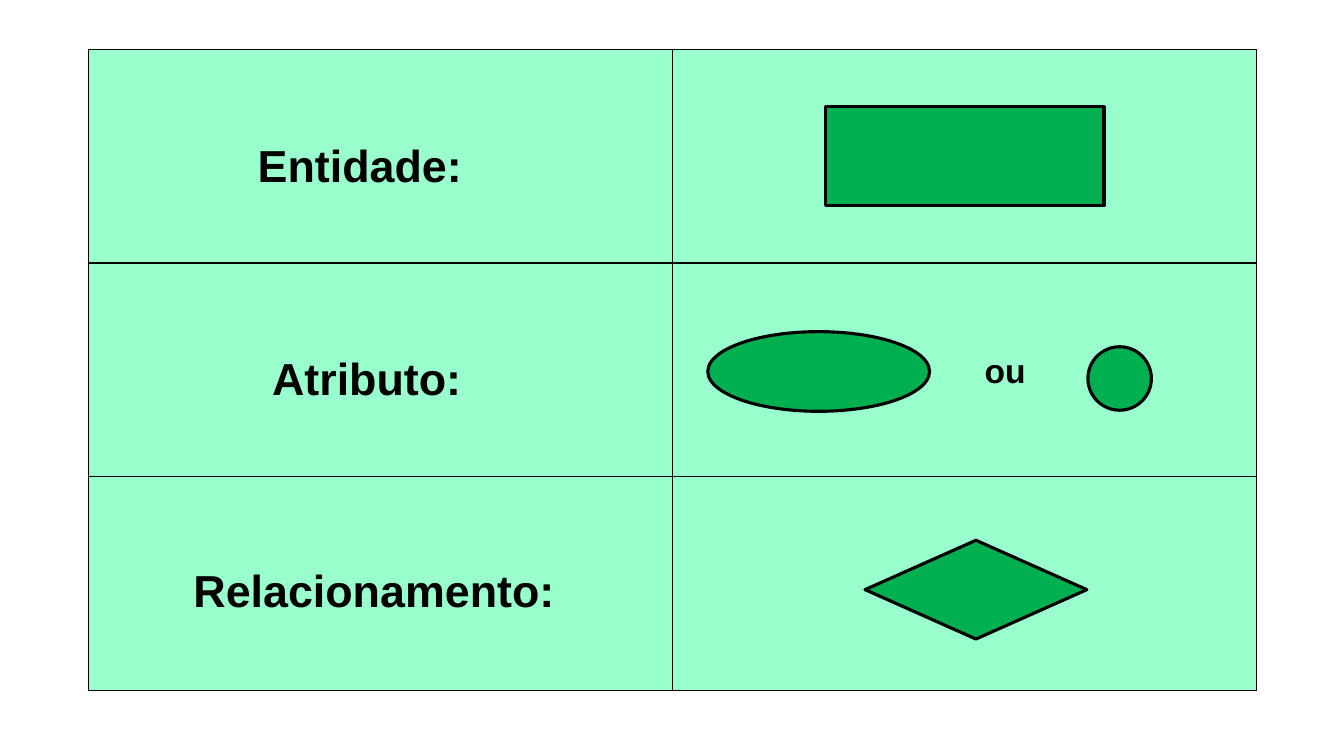
import pptx
import pptx.util
import pptx.dml.color
import pptx.enum.shapes
import pptx.enum.text
import pptx.oxml.ns
import lxml.etree

SHAPES = pptx.enum.shapes.MSO_SHAPE
ALIGN = pptx.enum.text.PP_ALIGN
INCH = pptx.util.Inches

MINT, GREEN, BLACK = "99FFCC", "00B050", "000000"

# Table frame: three equal rows, two equal columns
LEFT, TOP, WIDTH, ROW_HEIGHT, ROWS = 0.88, 0.49, 11.58, 2.12, 3
HEIGHT = ROW_HEIGHT * ROWS
MIDDLE = LEFT + WIDTH / 2

# Symbols: row, preset, left from the column line, top in the row, width, height
SYMBOLS = [
    (0, SHAPES.RECTANGLE, 1.52, 0.57, 2.76, 0.98),
    (1, SHAPES.OVAL, 0.35, 0.68, 2.2, 0.79),
    (1, SHAPES.OVAL, 4.12, 0.83, 0.63, 0.63),
    (2, SHAPES.DIAMOND, 1.91, 0.63, 2.2, 0.98),
]

# Labels: row, text, left from the frame, top in the row, width, height, size, alignment, wrap
LABELS = [
    (1, "ou", 8.69, 0.81, 0.8, 0.5, 24, ALIGN.CENTER, True),
    (0, "Entidade:", 1.57, 0.83, 2.24, 0.64, 32, ALIGN.CENTER, False),
    (1, "Atributo:", 1.72, 0.82, 2.09, 0.64, 32, ALIGN.LEFT, False),
    (2, "Relacionamento:", 0.94, 0.8, 3.81, 0.64, 32, ALIGN.LEFT, False),
]


def color(value):
    return pptx.dml.color.RGBColor.from_string(value)


def row_top(row):
    return TOP + row * ROW_HEIGHT


def add_figure(preset, left, top, width, height, fill, weight):
    figure = page.shapes.add_shape(preset, INCH(left), INCH(top), INCH(width), INCH(height))
    figure.shadow.inherit = False
    if fill:
        figure.fill.solid()
        figure.fill.fore_color.rgb = color(fill)
    else:
        figure.fill.background()
    figure.line.color.rgb = color(BLACK)
    figure.line.width = pptx.util.Pt(weight)


def add_label(text, left, top, width, height, size, alignment, wrap):
    box = page.shapes.add_textbox(INCH(left), INCH(top), INCH(width), INCH(height))
    frame = box.text_frame
    frame.text = text
    frame.word_wrap = wrap
    frame.auto_size = pptx.enum.text.MSO_AUTO_SIZE.SHAPE_TO_FIT_TEXT
    paragraph = frame.paragraphs[0]
    paragraph.alignment = alignment
    font = paragraph.runs[0].font
    font.name, font.size, font.bold = "Arial", pptx.util.Pt(size), True
    font.color.rgb = color(BLACK)


deck = pptx.Presentation()
deck.slide_width, deck.slide_height = INCH(13.33), INCH(7.5)
page = deck.slides.add_slide(deck.slide_layouts[6])

# Background panel and symbols
add_figure(SHAPES.RECTANGLE, LEFT, TOP, WIDTH, HEIGHT, MINT, 1)
for row, preset, left, top, width, height in SYMBOLS:
    add_figure(preset, MIDDLE + left, row_top(row) + top, width, height, GREEN, 2.25)

# Row frames and the column line
for row in range(ROWS):
    add_figure(SHAPES.RECTANGLE, LEFT, row_top(row), WIDTH, ROW_HEIGHT, None, 1)
divider = page.shapes.add_connector(
    pptx.enum.shapes.MSO_CONNECTOR.STRAIGHT,
    INCH(MIDDLE), INCH(TOP), INCH(MIDDLE), INCH(TOP + HEIGHT))
divider.line.color.rgb = color(BLACK)
divider.line.width = pptx.util.Pt(0.5)
lxml.etree.SubElement(divider._element.spPr, pptx.oxml.ns.qn("a:effectLst"))

# Labels
for row, text, left, top, *style in LABELS:
    add_label(text, LEFT + left, row_top(row) + top, *style)

deck.save("out.pptx")
